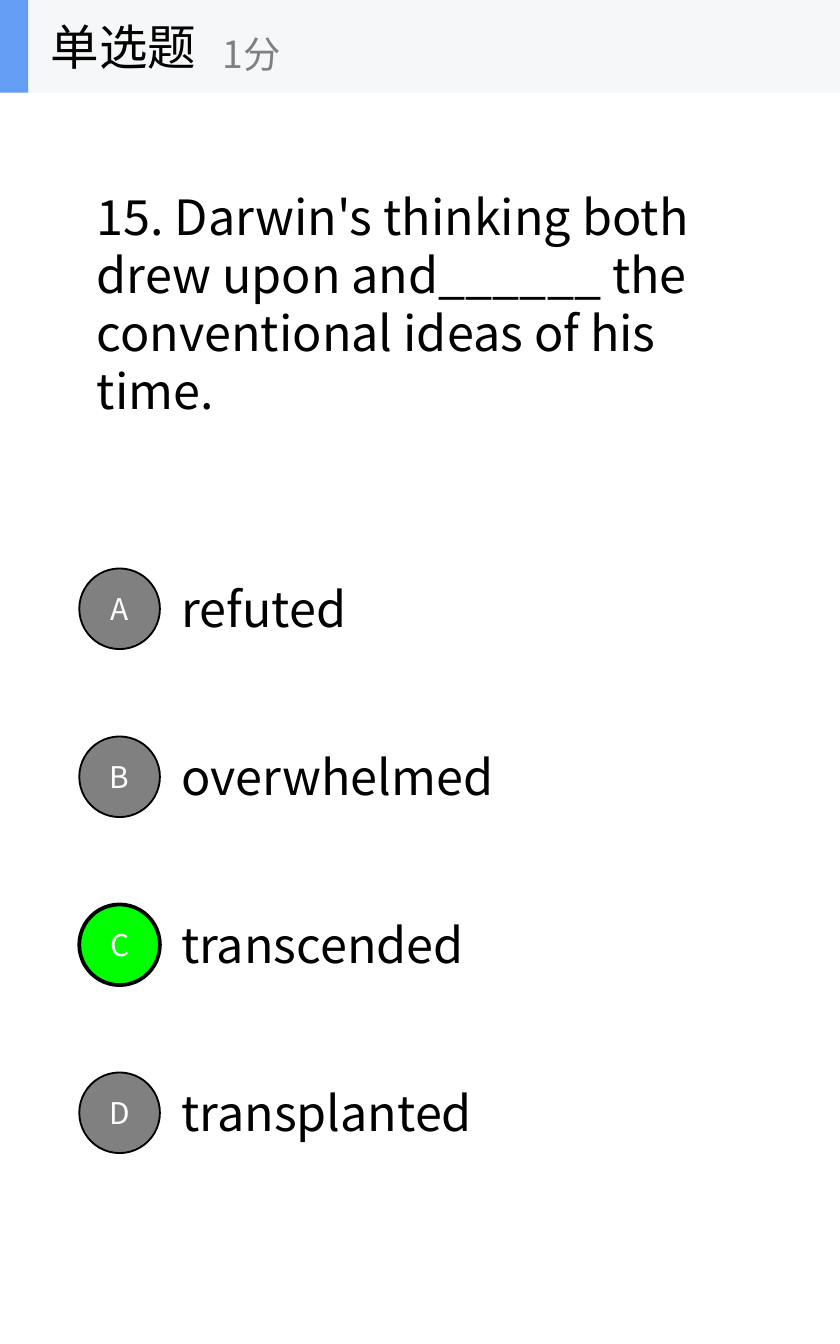
import pptx
import pptx.dml.color
import pptx.enum.shapes
import pptx.enum.text
import pptx.util

PX = 9144  # EMU in one px, 100 px to the inch
FONT = "Noto Sans CJK SC"
BLACK, WHITE, GRAY, GREEN = "000000", "FFFFFF", "808080", "00FF00"
HEADER_HEIGHT = 69
OPTION_TOP, OPTION_PITCH, CIRCLE_SIZE = 423, 125, 60


def color(hex_string):
    return pptx.dml.color.RGBColor.from_string(hex_string)


def write_text(shape, text, size=26, fill=BLACK, align="LEFT"):
    frame = shape.text_frame
    frame.word_wrap = True
    frame.auto_size = pptx.enum.text.MSO_AUTO_SIZE.NONE
    frame.vertical_anchor = pptx.enum.text.MSO_ANCHOR.MIDDLE
    paragraph = frame.paragraphs[0]
    paragraph.alignment = getattr(pptx.enum.text.PP_ALIGN, align)
    run = paragraph.add_run()
    run.text = text
    run.font.name = FONT
    run.font.size = pptx.util.Pt(size)
    run.font.color.rgb = color(fill)
    # East Asian characters take their own font element
    properties = run.font._element
    east_asian = properties.makeelement(pptx.oxml.ns.qn("a:ea"), {"typeface": FONT})
    properties.append(east_asian)


class QuizSlide:
    def __init__(self, presentation):
        self.slide = presentation.slides.add_slide(presentation.slide_layouts[5])

    def title(self, text, left, top, width, height):
        shape = self.slide.shapes.title
        shape.left, shape.top = left * PX, top * PX
        shape.width, shape.height = width * PX, height * PX
        write_text(shape, text)

    def text(self, text, left, top, width, height, **style):
        box = self.slide.shapes.add_textbox(left * PX, top * PX, width * PX, height * PX)
        write_text(box, text, **style)

    def shape(self, kind, left, top, width, height, fill, line_width=0):
        preset = getattr(pptx.enum.shapes.MSO_SHAPE, kind)
        shape = self.slide.shapes.add_shape(
            preset, left * PX, top * PX, width * PX, height * PX)
        shape.shadow.inherit = False
        shape.fill.solid()
        shape.fill.fore_color.rgb = color(fill)
        if line_width:
            shape.line.color.rgb = color(BLACK)
            shape.line.width = pptx.util.Pt(line_width)
        else:
            shape.line.fill.background()
        return shape

    def option(self, letter, answer, top, width, correct):
        self.text(answer, 125, top + 3, width, 53)
        circle = self.shape("OVAL", 59, top, CIRCLE_SIZE, CIRCLE_SIZE,
                            GREEN if correct else GRAY, 2 if correct else 1)
        write_text(circle, letter, size=16, fill=WHITE, align="CENTER")


def main():
    presentation = pptx.Presentation()
    presentation.slide_width = 625 * PX
    presentation.slide_height = 1000 * PX
    quiz = QuizSlide(presentation)

    # Question
    quiz.title("15. Darwin's thinking both drew upon and______ the "
               "conventional ideas of his time.", 62, 134, 483, 183)

    # Answer options
    options = [("A", "refuted", 145), ("B", "overwhelmed", 256),
               ("C", "transcended", 234), ("D", "transplanted", 238)]
    for index, (letter, answer, width) in enumerate(options):
        quiz.option(letter, answer, OPTION_TOP + index * OPTION_PITCH, width,
                    correct=letter == "C")

    # Header band with question type and score
    quiz.shape("RECTANGLE", 0, 0, 625, HEADER_HEIGHT, "F6F7F8")
    quiz.shape("RECTANGLE", 0, 0, 21, HEADER_HEIGHT, "639EF4")
    quiz.text("单选题", 28, 0, 208, HEADER_HEIGHT)
    quiz.text("1分", 156, 12, 250, 56, size=20, fill=GRAY)

    presentation.save("out.pptx")


if __name__ == "__main__":
    main()
